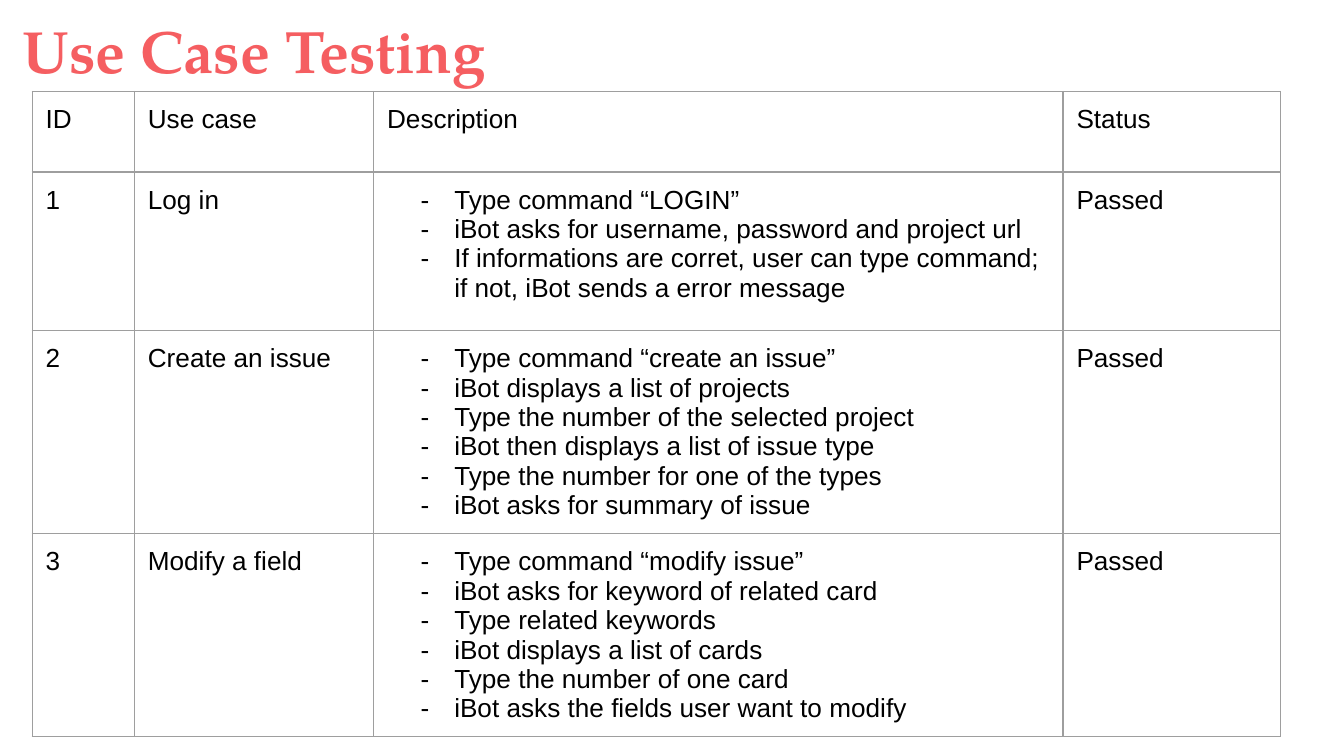
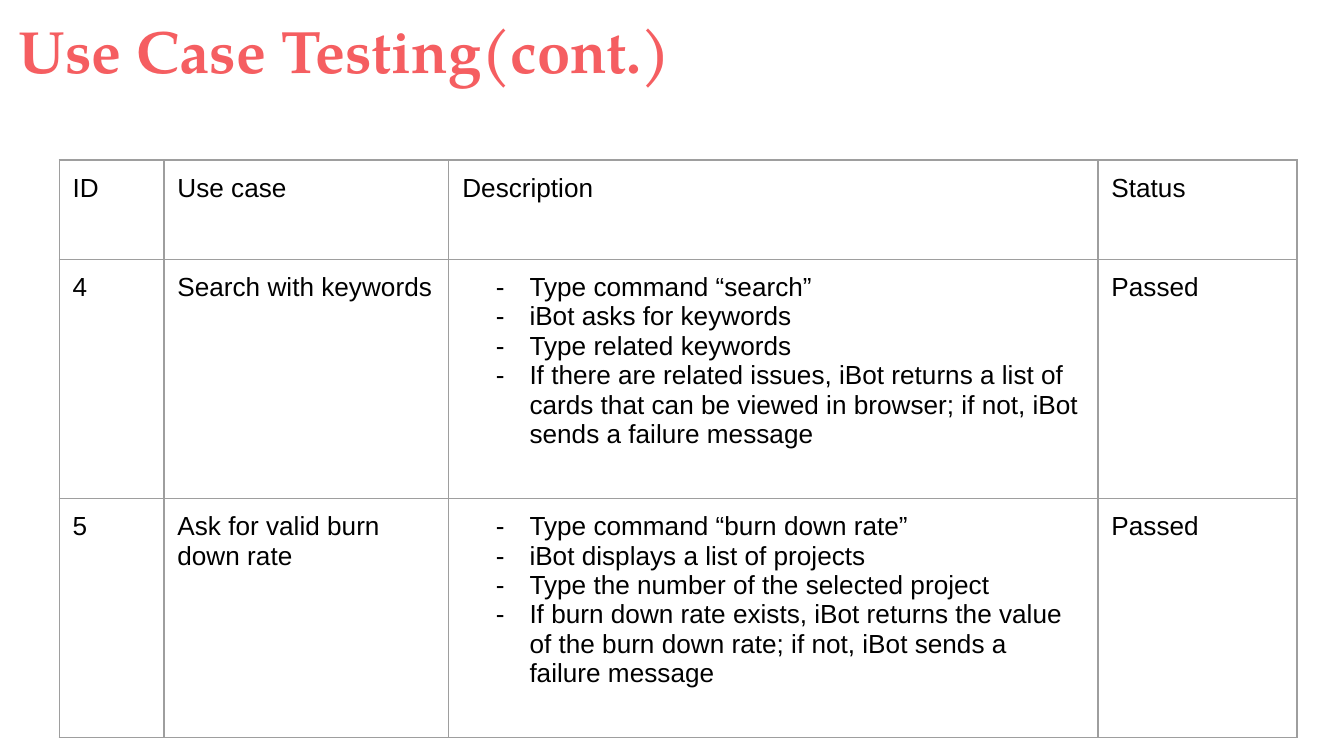
from dataclasses import dataclass

from lxml import etree
from pptx import Presentation
from pptx import util as u
from pptx.dml import color
from pptx.enum import text
from pptx.oxml import ns


@dataclass(frozen=True)
class Theme:
    title_color: str = "F55E61"
    body_color: str = "000000"
    border_color: str = "9E9E9E"
    cell_color: str = "FFFFFF"
    title_font: str = "TeX Gyre Pagella"
    body_font: str = "Arial"
    title_size: int = 32
    body_size: int = 14
    border_width: float = 0.75
    inset: float = 0.1


def add_child(parent, tag, **attributes):
    return etree.SubElement(parent, ns.qn(tag), attributes)


class Deck:
    """Holds the style and the current slide."""

    def __init__(self, theme):
        self.theme = theme
        self.prs = Presentation()
        # Widescreen, 16:9
        self.prs.slide_width = u.Inches(10)
        self.prs.slide_height = u.Inches(10 * 9 / 16)
        self.slide = None

    def new_slide(self):
        self.slide = self.prs.slides.add_slide(self.prs.slide_layouts[5])

    def set_insets(self, holder):
        for side in ("left", "top", "right", "bottom"):
            setattr(holder, f"margin_{side}", u.Inches(self.theme.inset))

    def style_runs(self, paragraph, font_name, size, rgb, bold=False):
        paragraph.alignment = text.PP_ALIGN.LEFT
        for run in paragraph.runs:
            run.font.name = font_name
            run.font.size = u.Pt(size)
            run.font.bold = bold
            run.font.color.rgb = color.RGBColor.from_string(rgb)

    def title(self, words, left):
        heading = self.slide.shapes.title
        heading.left, heading.top = u.Inches(left), u.Inches(0)
        heading.width, heading.height = u.Inches(9.32), u.Inches(0.68)
        frame = heading.text_frame
        frame.text = words
        frame.word_wrap = True
        frame.auto_size = text.MSO_AUTO_SIZE.NONE
        frame.vertical_anchor = text.MSO_ANCHOR.TOP
        self.set_insets(frame)
        self.style_runs(frame.paragraphs[0], self.theme.title_font,
                        self.theme.title_size, self.theme.title_color, bold=True)

    def border(self, cell):
        properties = cell._tc.get_or_add_tcPr()
        for side in ("L", "R", "T", "B"):
            line = add_child(properties, f"a:ln{side}",
                             w=str(u.Pt(self.theme.border_width)))
            fill = add_child(line, "a:solidFill")
            add_child(fill, "a:srgbClr", val=self.theme.border_color)

    def dash(self, paragraph):
        properties = paragraph._p.get_or_add_pPr()
        properties.set("marL", str(u.Inches(0.5)))
        properties.set("indent", str(u.Inches(-0.25)))
        add_child(properties, "a:buSzPts", val=str(self.theme.body_size * 100))
        add_child(properties, "a:buFont", typeface=self.theme.body_font)
        add_child(properties, "a:buChar", char="-")

    def cell(self, cell, content):
        """Fill a cell; a list of steps becomes a dashed list."""
        is_steps = isinstance(content, list)
        cell.text_frame.text = "\n".join(content) if is_steps else content
        self.set_insets(cell)
        self.border(cell)
        cell.fill.solid()
        cell.fill.fore_color.rgb = color.RGBColor.from_string(self.theme.cell_color)
        for paragraph in cell.text_frame.paragraphs:
            self.style_runs(paragraph, self.theme.body_font,
                            self.theme.body_size, self.theme.body_color)
            if is_steps:
                self.dash(paragraph)

    def table(self, left, top, widths, heights, rows):
        grid = self.slide.shapes.add_table(
            len(rows), len(widths), u.Inches(left), u.Inches(top),
            u.Inches(sum(widths)), u.Inches(sum(heights))).table
        grid.first_row = grid.horz_banding = False
        for column, width in zip(grid.columns, widths):
            column.width = u.Inches(width)
        for row, height, contents in zip(grid.rows, heights, rows):
            row.height = u.Inches(height)
            for cell, content in zip(row.cells, contents):
                self.cell(cell, content)


HEADER = ("ID", "Use case", "Description", "Status")

FIRST_CASES = [
    ("1", "Log in", [
        "Type command “LOGIN”",
        "iBot asks for username, password and project url",
        "If informations are corret, user can type command; "
        "if not, iBot sends a error message",
    ]),
    ("2", "Create an issue", [
        "Type command “create an issue”",
        "iBot displays a list of projects",
        "Type the number of the selected project",
        "iBot then displays a list of issue type",
        "Type the number for one of the types",
        "iBot asks for summary of issue",
    ]),
    ("3", "Modify a field", [
        "Type command “modify issue”",
        "iBot asks for keyword of related card",
        "Type related keywords",
        "iBot displays a list of cards",
        "Type the number of one card",
        "iBot asks the fields user want to modify",
    ]),
]

MORE_CASES = [
    ("4", "Search with keywords", [
        "Type command “search”",
        "iBot asks for keywords",
        "Type related keywords",
        "If there are related issues, iBot returns a list of cards that can be "
        "viewed in browser; if not, iBot sends a failure message",
    ]),
    ("5", "Ask for valid burn down rate", [
        "Type command “burn down rate”",
        "iBot displays a list of projects",
        "Type the number of the selected project",
        "If burn down rate exists, iBot returns the value of the burn down rate; "
        "if not, iBot sends a failure message",
    ]),
]


def add_case_slide(deck, title, title_left, left, top, widths,
                   header_height, case_height, cases):
    deck.new_slide()
    deck.title(title, title_left)
    rows = [HEADER] + [(*case, "Passed") for case in cases]
    heights = [header_height] + [case_height] * len(cases)
    deck.table(left, top, widths, heights, rows)


def main():
    deck = Deck(Theme())

    # Use cases 1 to 3
    add_case_slide(deck, "Use Case Testing", 0.07, left=0.24, top=0.68,
                   widths=(0.76, 1.78, 5.13, 1.62),
                   header_height=0.6, case_height=1.18, cases=FIRST_CASES)

    # Use cases 4 and 5
    add_case_slide(deck, "Use Case Testing(cont.)", 0.04, left=0.44, top=1.19,
                   widths=(0.78, 2.12, 4.83, 1.48),
                   header_height=0.74, case_height=1.78, cases=MORE_CASES)

    deck.prs.save("out.pptx")


if __name__ == "__main__":
    main()
